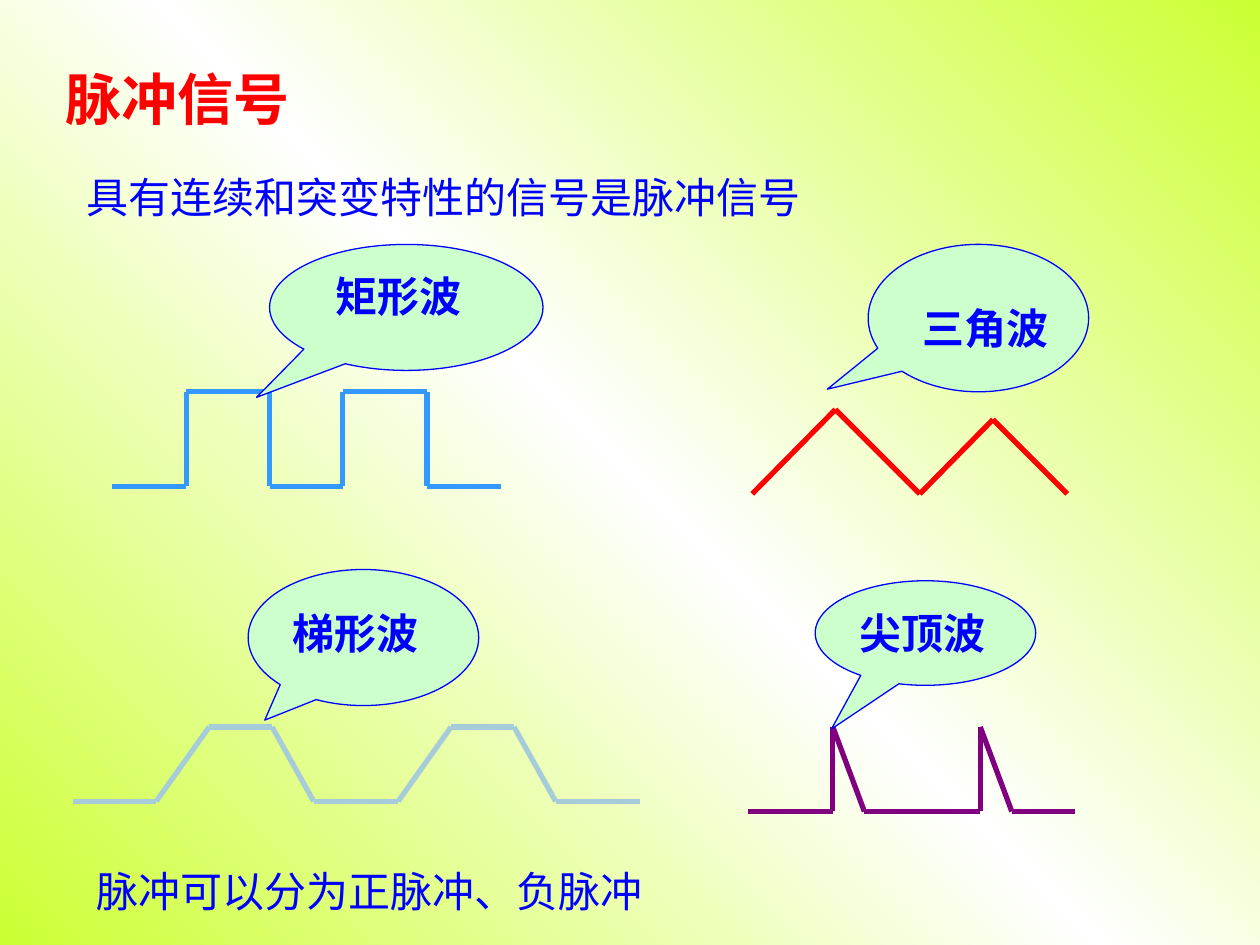
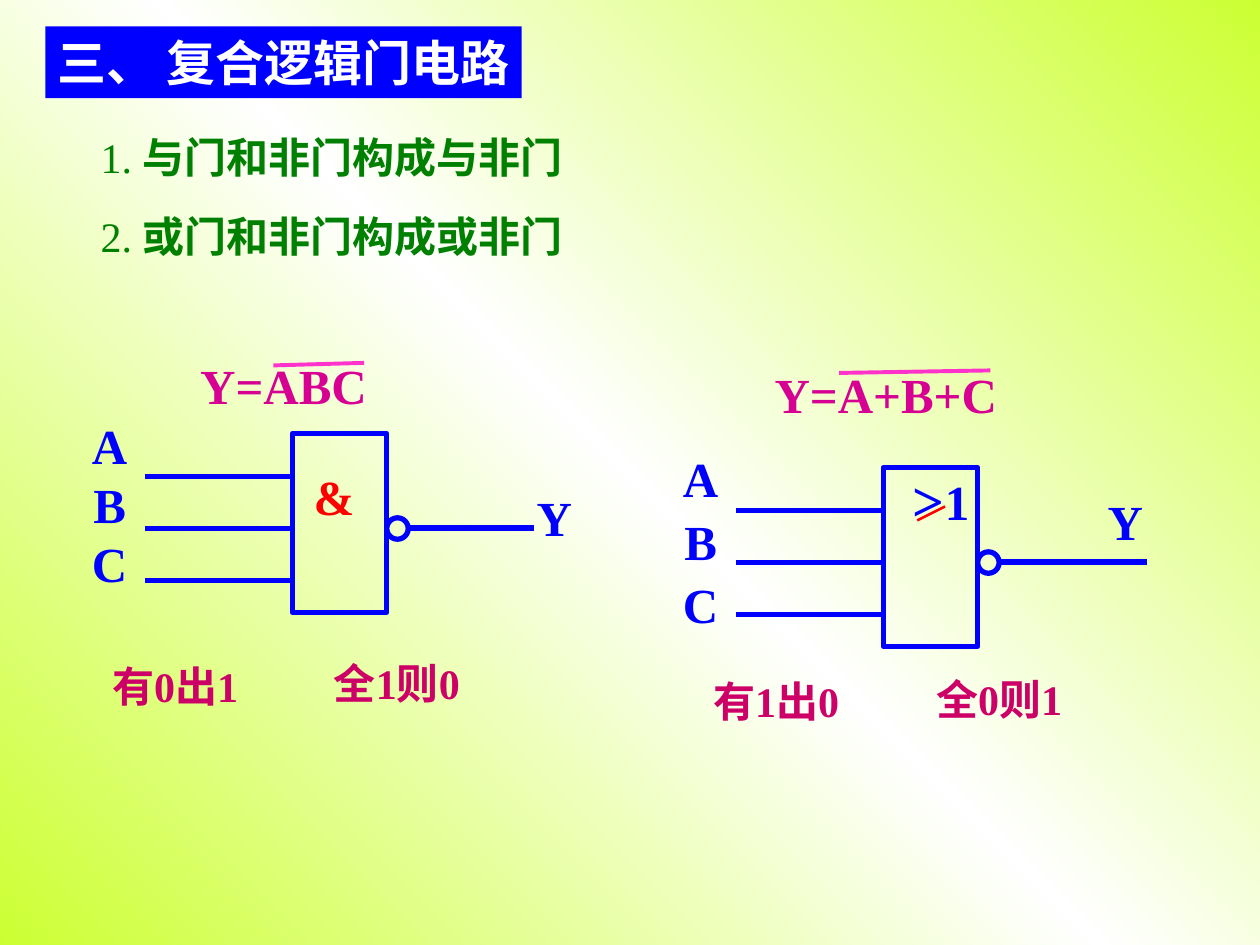
from copy import deepcopy
from itertools import pairwise

from lxml import etree
from pptx import Presentation
from pptx.dml.color import RGBColor
from pptx.enum import shapes, text
from pptx.oxml import ns
from pptx.util import Inches, Pt

HUES = {
    "lime": "CCFF33", "white": "FFFFFF", "blue": "0000FF", "sky": "3399FF",
    "steel": "A7CCD9", "red": "FF0000", "purple": "800080", "mint": "CCFFCC",
    "green": "008000", "pink": "D60093", "bar": "FF33CC", "rose": "CC0066",
}
SERIF, SANS = "Times New Roman", "Noto Sans CJK SC"
FORM = shapes.MSO_SHAPE
LEFT, MID = text.PP_ALIGN.LEFT, text.PP_ALIGN.CENTER
TOP, CORE = text.MSO_ANCHOR.TOP, text.MSO_ANCHOR.MIDDLE


def hue(name):
    return RGBColor.from_string(HUES[name])


def new_slide(deck):
    slide = deck.slides.add_slide(deck.slide_layouts[6])
    fill = slide.background.fill
    fill.gradient()
    fill.gradient_angle = 225
    stops = slide.element.find(".//" + ns.qn("a:gsLst"))
    stops.insert(1, deepcopy(stops[0]))
    for stop, name, place in zip(fill.gradient_stops, ("lime", "white", "lime"), (0, 0.5, 1)):
        stop.color.rgb = hue(name)
        stop.position = place
    return slide


def write(frame, words, size=24, color="blue", bold=False, font=SERIF,
          align=MID, anchor=CORE, wrap=False, space=None):
    frame.word_wrap = wrap
    frame.vertical_anchor = anchor
    para = frame.paragraphs[0]
    para.alignment = align
    para.line_spacing = space
    parts = [(words, font, bold)] if isinstance(words, str) else words
    for part, face, heavy in parts:
        run = para.add_run()
        run.text = part
        run.font.size = Pt(size)
        run.font.bold = heavy
        run.font.color.rgb = hue(color)
        run.font.name = face
        east = etree.SubElement(run.font._element, ns.qn("a:ea"))
        east.set("typeface", SANS)


def label(slide, words, x, y, w, h=0.5, **style):
    box = slide.shapes.add_textbox(Inches(x), Inches(y), Inches(w), Inches(h))
    write(box.text_frame, words, **style)


def shape(slide, form, x, y, w, h, fill=None, line=None, width=3):
    item = slide.shapes.add_shape(form, Inches(x), Inches(y), Inches(w), Inches(h))
    item.shadow.inherit = False
    if fill:
        item.fill.solid()
        item.fill.fore_color.rgb = hue(fill)
    else:
        item.fill.background()
    if line:
        item.line.color.rgb = hue(line)
        item.line.width = Pt(width)
    else:
        item.line.fill.background()
    return item


def wire(slide, start, end, color="blue", width=3):
    ends = [Inches(n) for n in (*start, *end)]
    item = slide.shapes.add_connector(shapes.MSO_CONNECTOR.STRAIGHT, *ends)
    item.line.color.rgb = hue(color)
    item.line.width = Pt(width)
    etree.SubElement(item._element.spPr, ns.qn("a:effectLst"))


def wave(slide, color, points):
    for start, end in pairwise(points):
        wire(slide, start, end, color)


def callout(slide, words, box, tip, spot):
    item = shape(slide, FORM.OVAL_CALLOUT, *box, fill="mint", line="blue", width=0.75)
    item.adjustments[0], item.adjustments[1] = tip
    label(slide, words, *spot, 1.2, bold=True)


def gate(slide, x, y, names, step, out, reach):
    shape(slide, FORM.RECTANGLE, x, y, 0.75, 1.42, line="blue")
    for i, name in enumerate("ABC"):
        level = y + 0.34 + i * 0.415
        wire(slide, (x - 1.17, level), (x, level))
        label(slide, name, names[0], names[1] + i * step, 0.48, 0.57, size=28, bold=True)
    shape(slide, FORM.OVAL, x + 0.75, y + 0.67, 0.17, 0.17, line="blue")
    wire(slide, (x + 0.92, y + 0.75), (x + 0.92 + reach, y + 0.75))
    label(slide, "Y", *out, 0.48, 0.57, size=28, bold=True)


def formula(slide, words, x, y, w, start, end):
    label(slide, words, x, y, w, 0.57, size=28, color="pink", bold=True)
    wire(slide, start, end, "bar", 2.25)


def pulses(deck):
    slide = new_slide(deck)
    low, high = 3.86, 3.11
    wave(slide, "sky", [(0.89, low), (1.48, low), (1.48, high), (2.14, high), (2.14, low),
                        (2.72, low), (2.72, high), (3.39, high), (3.39, low), (3.98, low)])
    low, high = 6.36, 5.77
    ramp = [(0, low), (0.66, low), (1.08, high), (1.58, high), (1.91, low)]
    wave(slide, "steel", [(x + left, y) for left in (0.58, 2.5) for x, y in ramp]
         + [(5.08, low)])
    wave(slide, "red", [(5.97, 3.92), (6.63, 3.25), (7.3, 3.92), (7.88, 3.33), (8.47, 3.92)])
    low = 6.44
    spike = [(0, low), (0, high), (0.25, low)]
    wave(slide, "purple", [(5.94, low)]
         + [(x + left, y) for left in (6.61, 7.78) for x, y in spike] + [(8.53, low)])

    for item in (
        ("三角波", (6.89, 1.94, 1.75, 1.17), (-0.685, 0.482), (7.22, 2.35)),
        ("梯形波", (1.97, 4.52, 1.83, 1.08), (-0.428, 0.607), (2.22, 4.77)),
        ("尖顶波", (6.47, 4.61, 1.75, 0.83), (-0.426, 0.917), (6.72, 4.77)),
        ("矩形波", (2.14, 1.94, 2.17, 1), (-0.548, 0.714), (2.56, 2.1)),
    ):
        callout(slide, *item)

    prose = dict(align=LEFT, anchor=TOP, wrap=True)
    label(slide, "脉冲信号", 0.42, 0.33, 8.83, 0.75, size=32, color="red",
          bold=True, font=SANS, space=1.25, **prose)
    label(slide, "具有连续和突变特性的信号是脉冲信号", 0.59, 1.31, 6.22, **prose)
    label(slide, "脉冲可以分为正脉冲、负脉冲", 0.67, 6.82, 6.22, **prose)


def gates(deck):
    slide = new_slide(deck)
    title = shape(slide, FORM.RECTANGLE, 0.36, 0.21, 3.78, 0.57, fill="blue")
    write(title.text_frame, "三、 复合逻辑门电路", size=28, color="white", bold=True,
          align=LEFT, anchor=TOP)
    for i, words in enumerate(("与门和非门构成与非门", "或门和非门构成或非门")):
        label(slide, [(f"{i + 1}. ", SERIF, False), (words, SANS, True)],
              0.7, 0.99 + i * 0.63, 4.17, color="green", align=LEFT)

    formula(slide, "Y=ABC", 1.4, 2.77, 1.7, (2.17, 2.9), (2.89, 2.88))
    formula(slide, "Y=A+B+C", 5.88, 2.84, 2.3, (6.66, 2.96), (7.86, 2.94))

    gate(slide, 2.32, 3.44, (0.63, 3.25), 0.465, (4.16, 3.82), 1)
    label(slide, "&", 2.39, 3.65, 0.52, 0.57, size=28, color="red", bold=True)

    gate(slide, 7.01, 3.71, (5.32, 3.51), 0.5, (8.69, 3.85), 1.17)
    label(slide, ">", 7.14, 3.64, 0.45, 0.64, size=32, bold=True)
    wire(slide, (7.28, 4.13), (7.5, 4.02), "red", 1.5)
    label(slide, "1", 7.4, 3.69, 0.39, 0.57, size=28, bold=True)

    for words, x, y in (("有0出1", 0.67, 5.19), ("全1则0", 2.43, 5.17),
                        ("有1出0", 5.44, 5.31), ("全0则1", 7.21, 5.3)):
        label(slide, words, x, y, 1.44, color="rose", bold=True, anchor=TOP)


def main():
    deck = Presentation()
    deck.slide_width, deck.slide_height = Inches(10), Inches(7.5)
    pulses(deck)
    gates(deck)
    deck.save("out.pptx")


if __name__ == "__main__":
    main()
